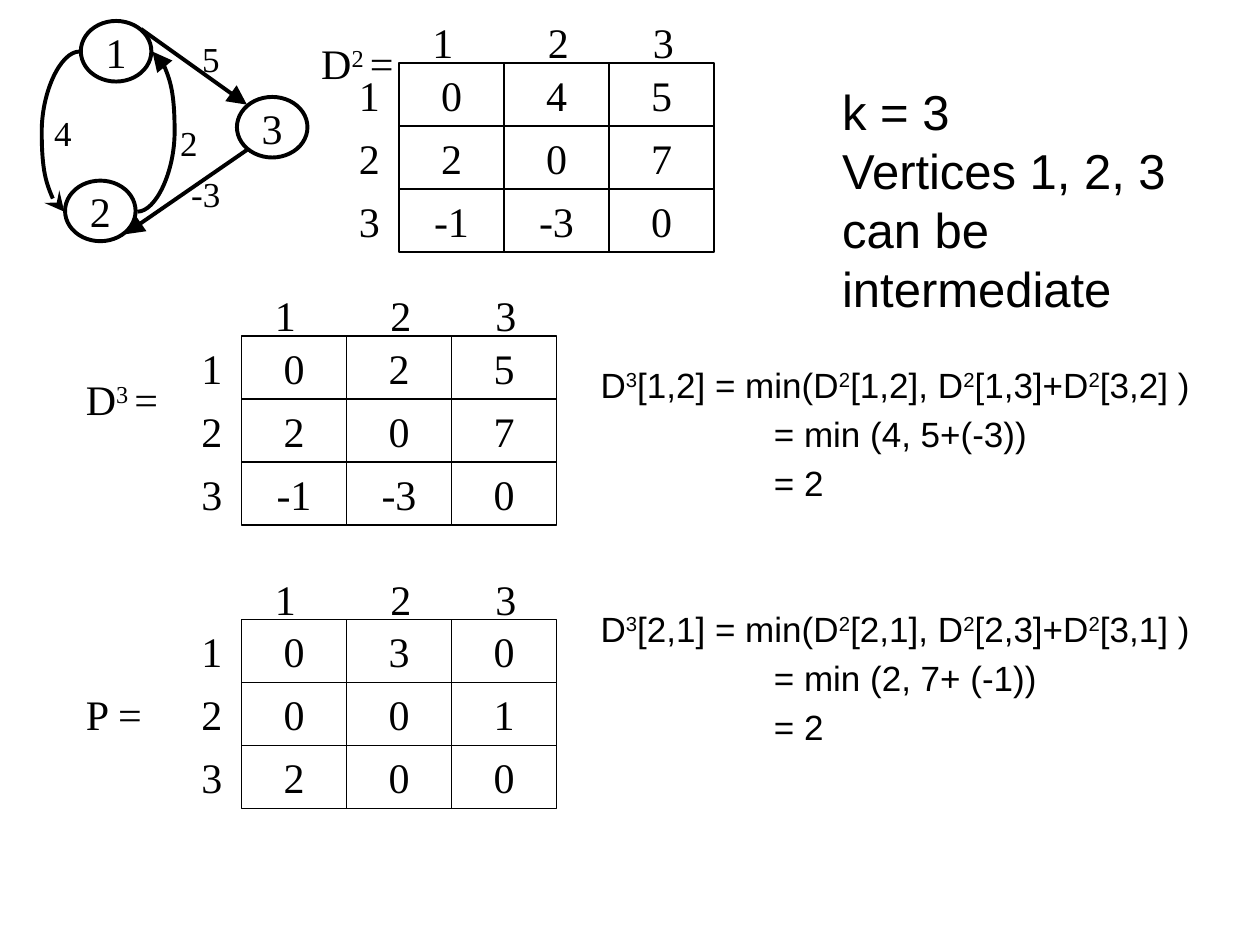
import pptx
import pptx.util
import pptx.dml.color
import pptx.enum.text
import pptx.enum.shapes
import pptx.oxml
import pptx.oxml.ns
from lxml import etree

Pt = pptx.util.Pt
qn = pptx.oxml.ns.qn
BLACK = pptx.dml.color.RGBColor(0, 0, 0)
SERIF = "Times New Roman"
SANS = "Arial"
LEFT = pptx.enum.text.PP_ALIGN.LEFT
CENTER = pptx.enum.text.PP_ALIGN.CENTER
MIDDLE = pptx.enum.text.MSO_ANCHOR.MIDDLE
NONE = pptx.enum.text.MSO_AUTO_SIZE.NONE
CURVE = pptx.enum.shapes.MSO_CONNECTOR.CURVE
LINE = pptx.enum.shapes.MSO_CONNECTOR.STRAIGHT
RECT = pptx.enum.shapes.MSO_SHAPE.RECTANGLE
OVAL = pptx.enum.shapes.MSO_SHAPE.OVAL

deck = pptx.Presentation()
deck.slide_width, deck.slide_height = Pt(720), Pt(540)
slide = deck.slides.add_slide(deck.slide_layouts[1])
shapes = slide.shapes


def write(para, text, size, font=SERIF):
    for i, part in enumerate(text.split("^")):
        run = para.add_run()
        run.text = part
        run.font.size = Pt(size)
        run.font.name = font
        run.font.color.rgb = BLACK
        if i % 2:
            run.font._element.set("baseline", "30000")


def place(text, x, y, wide, high, size=24, kind=None, stroke=1):
    if kind is None:
        box = shapes.add_textbox(Pt(x), Pt(y), Pt(wide), Pt(high))
    else:
        box = shapes.add_shape(kind, Pt(x), Pt(y), Pt(wide), Pt(high))
        box.shadow.inherit = False
        box.fill.background()
        box.line.color.rgb = BLACK
        box.line.width = Pt(stroke)
        box.text_frame.vertical_anchor = MIDDLE
        box.text_frame.paragraphs[0].alignment = CENTER
    box.text_frame.word_wrap = False
    write(box.text_frame.paragraphs[0], text, size)


title = shapes.title
title.left, title.top, title.width, title.height = Pt(474), Pt(48), Pt(210), Pt(132)
frame = title.text_frame
frame.text = "k = 3\vVertices 1, 2, 3 can be intermediate"
frame.auto_size = NONE
frame.vertical_anchor = MIDDLE
para = frame.paragraphs[0]
para.alignment = LEFT
for run in para.runs:
    run.font.size = Pt(28)
    run.font.name = SANS
    run.font.color.rgb = BLACK

body = slide.placeholders[1]
body.left, body.top, body.width, body.height = Pt(336), Pt(204), Pt(366), Pt(258)
frame = body.text_frame
frame.auto_size = NONE
steps = [
    ("D^3^[1,2] = min(D^2^[1,2], D^2^[1,3]+D^2^[3,2] )", 0, 0),
    ("= min (4, 5+(-3))", 4, 99),
    ("= 2", 4, 99),
    ("D^3^[2,1] = min(D^2^[2,1], D^2^[2,3]+D^2^[3,1] )", 59.3, 0),
    ("= min (2, 7+ (-1))", 4, 99),
    ("= 2", 4, 99),
]
for i, (text, gap, inset) in enumerate(steps):
    para = frame.paragraphs[0] if i == 0 else frame.add_paragraph()
    prop = para._p.get_or_add_pPr()
    prop.set("marL", str(Pt(inset)))
    prop.set("indent", "0")
    etree.SubElement(prop, qn("a:buNone"))
    para.space_before = Pt(gap)
    write(para, text, 20, SANS)

grids = [
    (228, 36, ["0 4 5", "2 0 7", "-1 -3 0"]),
    (138, 192, ["0 2 5", "2 0 7", "-1 -3 0"]),
    (138, 354, ["0 3 0", "0 0 1", "2 0 0"]),
]
for left, top, rows in grids:
    for r, row in enumerate(rows):
        for c, value in enumerate(row.split()):
            place(value, left + 60 * c, top + 36 * r, 60, 36, kind=RECT)
    for i, shift in enumerate((12, 78, 138)):
        place(str(i + 1), left + shift, top - 30, 26.5, 36)
        place(str(i + 1), left - 30, top + 36 * i, 26.5, 36)

place(" D^2 ^=", 170.5, 18, 63, 36)
place(" D^3 ^=", 36, 210, 63, 36)
place("P =", 42, 390, 47.5, 36)

for name, x, y in (("1", 46.2, 12), ("2", 37.2, 103.2), ("3", 135.4, 55.4)):
    place(name, x, y, 40.3, 34.6, kind=OVAL, stroke=2.25)

edges = [
    (LINE, 80.6, 16.6, 141.1, 59.8, "tailEnd", "triangle", None),
    (LINE, 141.1, 85.7, 71.3, 133.9, "tailEnd", "triangle", None),
    (CURVE, 36.7, 121, 45.4, 29.5, "headEnd", "stealth", -148000),
    (CURVE, 78.5, 121, 87.1, 29.5, "tailEnd", "triangle", 248000),
]
for kind, x1, y1, x2, y2, end, head, bend in edges:
    edge = shapes.add_connector(kind, Pt(x1), Pt(y1), Pt(x2), Pt(y2))
    edge.line.color.rgb = BLACK
    edge.line.width = Pt(2.25)
    etree.SubElement(edge.line._get_or_add_ln(), qn("a:" + end),
                     type=head, w="lg", len="lg")
    prop = edge._element.spPr
    etree.SubElement(prop, qn("a:effectLst"))
    if bend:
        guides = prop.find(qn("a:prstGeom")).get_or_add_avLst()
        etree.SubElement(guides, qn("a:gd"), name="adj1", fmla=f"val {bend}")

for text, x, y, wide in (("5", 108.5, 18, 24.5), ("-3", 102.2, 95, 31),
                         ("2", 95.8, 66, 24.5), ("4", 23.8, 60, 24.5)):
    place(text, x, y, wide, 31, 20)

deck.save("out.pptx")
